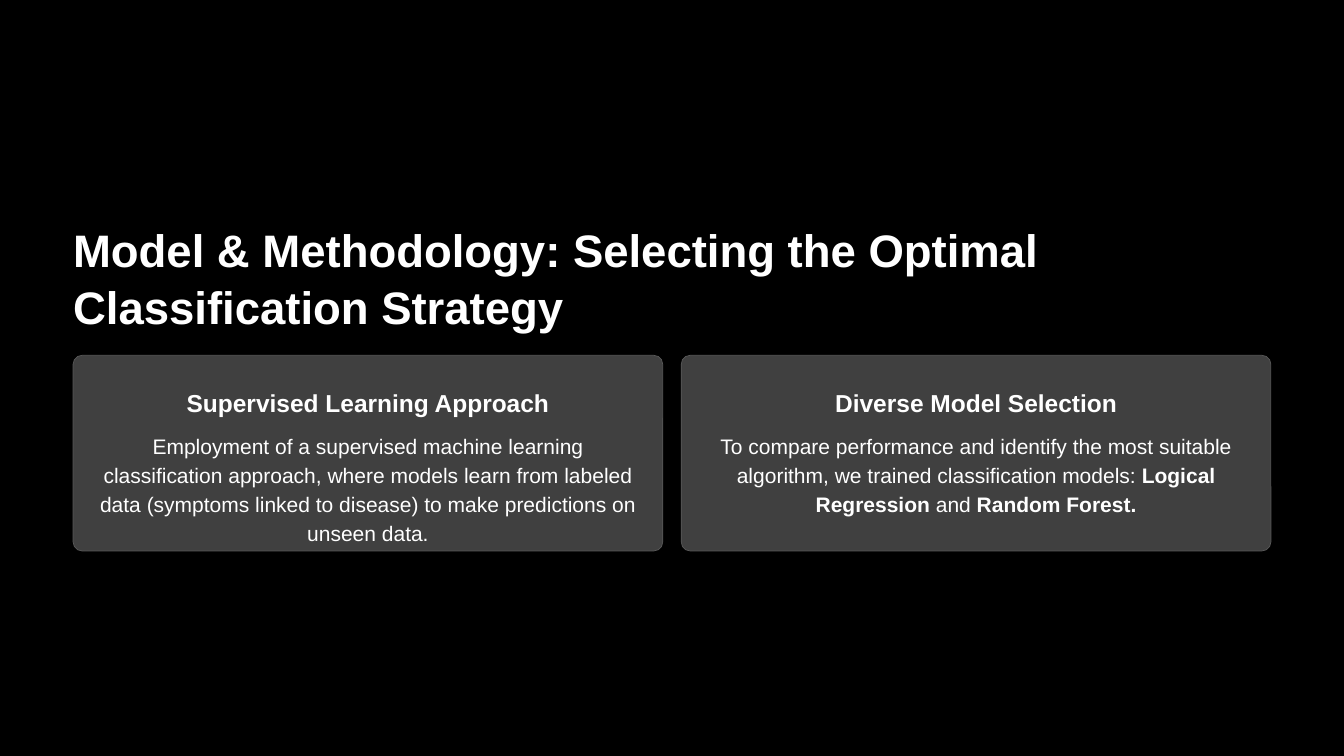
import pptx
import pptx.util
import pptx.dml.color
import pptx.enum.shapes
import pptx.enum.text
from pptx.util import Inches, Pt

# Content
TITLE = "Model & Methodology: Selecting the Optimal Classification Strategy"
# Each card: heading, heading width, body runs as (text, bold)
CARDS = [
    ("Supervised Learning Approach", 4.45, [
        ("Employment of a supervised machine learning classification approach, "
         "where models learn from labeled data (symptoms linked to disease) "
         "to make predictions on unseen data.", False),
    ]),
    ("Diverse Model Selection", 3.5, [
        ("To compare performance and identify the most suitable algorithm, "
         "we trained classification models: ", False),
        ("Logical Regression ", True),
        ("and", False),
        (" Random Forest.", True),
    ]),
]

# Look and layout, in inches
FONT = "Arial"
BLACK, WHITE, CARD_FILL, CARD_LINE = "000000", "FFFFFF", "404040", "595959"
SLIDE_W, SLIDE_H = 16, 9
MARGIN, GAP, PADDING = 0.87, 0.22, 0.22
CONTENT_W = SLIDE_W - 2 * MARGIN
CARD_W = (CONTENT_W - GAP * (len(CARDS) - 1)) / len(CARDS)
CARD_TOP, CARD_H = 4.23, 2.33
LEFT = pptx.enum.text.PP_ALIGN.LEFT
CENTER = pptx.enum.text.PP_ALIGN.CENTER


def color(hex_value):
    return pptx.dml.color.RGBColor.from_string(hex_value)


def add_text(slide, box, runs, size, line_height, align):
    frame = slide.shapes.add_textbox(*map(Inches, box)).text_frame
    frame.word_wrap = True
    frame.margin_left = frame.margin_right = 0
    frame.margin_top = frame.margin_bottom = 0
    paragraph = frame.paragraphs[0]
    paragraph.alignment = align
    paragraph.line_spacing = Pt(line_height)
    paragraph.font.name = FONT
    paragraph.font.size = Pt(size)
    paragraph.font.color.rgb = color(WHITE)
    for text, bold in runs:
        run = paragraph.add_run()
        run.text = text
        run.font.bold = bold


def add_card(slide, left, heading, heading_w, body):
    card = slide.shapes.add_shape(
        pptx.enum.shapes.MSO_SHAPE.ROUNDED_RECTANGLE,
        Inches(left), Inches(CARD_TOP), Inches(CARD_W), Inches(CARD_H))
    card.adjustments[0] = 0.046
    card.shadow.inherit = False
    card.fill.solid()
    card.fill.fore_color.rgb = color(CARD_FILL)
    card.line.color.rgb = color(CARD_LINE)
    card.line.width = Pt(0.6)

    # Heading centred on the card, body inside its padding
    heading_left = left + (CARD_W - heading_w) / 2
    add_text(slide, (heading_left, CARD_TOP + 0.41, heading_w, 0.34),
             [(heading, True)], 21, 24, CENTER)
    add_text(slide, (left + PADDING, CARD_TOP + 0.88, CARD_W - 2 * PADDING, 1.04),
             body, 18, 25, CENTER)


def main():
    deck = pptx.Presentation()
    deck.slide_width, deck.slide_height = Inches(SLIDE_W), Inches(SLIDE_H)
    slide = deck.slides.add_slide(deck.slide_layouts[6])
    slide.background.fill.solid()
    slide.background.fill.fore_color.rgb = color(BLACK)

    # Title
    add_text(slide, (MARGIN, 2.62, CONTENT_W, 1.36), [(TITLE, True)], 39, 48.5, LEFT)

    # Cards side by side
    for column, (heading, heading_w, body) in enumerate(CARDS):
        add_card(slide, MARGIN + column * (CARD_W + GAP), heading, heading_w, body)

    deck.save("out.pptx")


if __name__ == "__main__":
    main()
